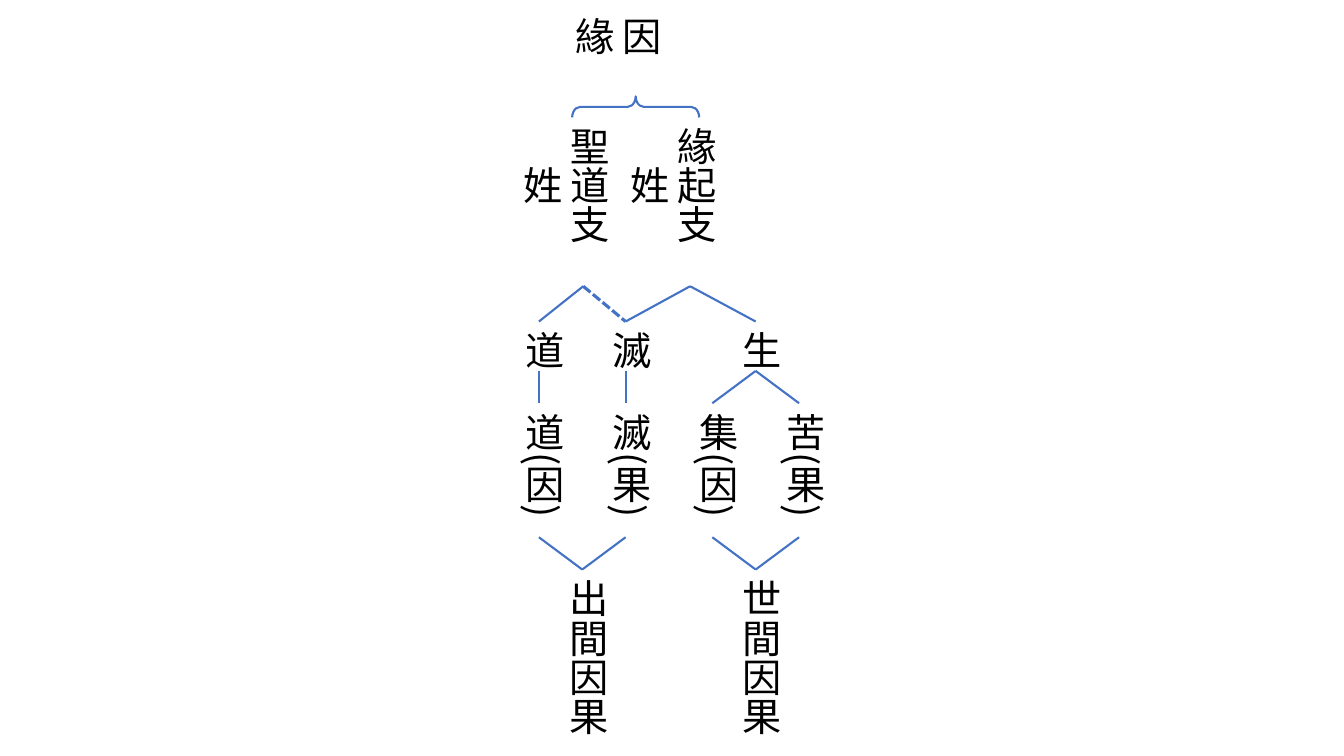
"""Draw a tree of causes and conditions in vertical Chinese text."""
from dataclasses import dataclass

from lxml import etree
from pptx import Presentation, util as u
from pptx.dml.color import RGBColor
from pptx.enum import dml, shapes, text
from pptx.oxml.ns import qn

PX = 9144
FONT = "Noto Sans CJK SC"
COLORS = {"ink": "000000", "line": "4472C4"}
WIDE = 67
LEFT, STEP = 501, 86


@dataclass
class Row:
    top: int
    high: int
    nodes: dict[str, int]


@dataclass
class Link:
    start: str
    end: str
    width: float = 1.5
    dash: bool = False


def col(place: float) -> int:
    return round(LEFT + STEP * place)


ROWS = [
    Row(7, 91, {"因緣": 597}),
    Row(116, 168, {"聖道支姓": 545, "緣起支姓": 651}),
    Row(319, 49, {"道": col(0), "滅": col(1), "生": col(2.5)}),
    Row(400, 133, {name: col(i) for i, name in
                   enumerate(["道(因)", "滅(果)", "集(因)", "苦(果)"])}),
    Row(565, 176, {"出間因果": col(0.5), "世間因果": col(2.5)}),
]

LINKS = [
    Link("聖道支姓", "道"),
    Link("聖道支姓", "滅", 2.25, True),
    Link("緣起支姓", "滅"),
    Link("緣起支姓", "生"),
    Link("道", "道(因)"),
    Link("滅", "滅(果)"),
    Link("生", "集(因)"),
    Link("生", "苦(果)"),
    Link("道(因)", "出間因果"),
    Link("滅(果)", "出間因果"),
    Link("集(因)", "世間因果"),
    Link("苦(果)", "世間因果"),
]


def px(*sizes: int) -> list[u.Emu]:
    return [u.Emu(size * PX) for size in sizes]


def rgb(name: str) -> RGBColor:
    return RGBColor.from_string(COLORS[name])


def write(slide, words: str, *, x: int, y: int, w: int, h: int,
          size: int = 28, color: str = "ink"):
    box = slide.shapes.add_textbox(*px(x, y, w, h))
    frame = box.text_frame
    frame.word_wrap = True
    frame.auto_size = text.MSO_AUTO_SIZE.SHAPE_TO_FIT_TEXT
    box.element.txBody.find(qn("a:bodyPr")).set("vert", "eaVert")
    para = frame.paragraphs[0]
    para.alignment = text.PP_ALIGN.CENTER
    run = para.add_run()
    run.text = words
    run.font.size = u.Pt(size)
    run.font.color.rgb = rgb(color)
    run.font.name = FONT
    face = etree.SubElement(run.font._element, qn("a:ea"))
    face.set("typeface", FONT)
    return box


def join(slide, link: Link, boxes: dict) -> None:
    line = slide.shapes.add_connector(shapes.MSO_CONNECTOR.STRAIGHT, 0, 0, 0, 0)
    line.begin_connect(boxes[link.start], 2)
    line.end_connect(boxes[link.end], 0)
    line.line.color.rgb = rgb("line")
    line.line.width = u.Pt(link.width)
    if link.dash:
        line.line.dash_style = dml.MSO_LINE.SQUARE_DOT
    etree.SubElement(line.element.spPr, qn("a:effectLst"))


def brace(slide) -> None:
    mark = slide.shapes.add_shape(
        shapes.MSO_SHAPE.RIGHT_BRACE, *px(620, 43, 21, 126))
    mark.rotation = 270
    mark.adjustments[0] = 0.38
    mark.adjustments[1] = 0.5
    mark.shadow.inherit = False
    mark.fill.background()
    mark.line.color.rgb = rgb("line")
    mark.line.width = u.Pt(1.5)


def main() -> None:
    deck = Presentation()
    deck.slide_width, deck.slide_height = px(1333, 750)
    slide = deck.slides.add_slide(deck.slide_layouts[6])
    boxes = {name: write(slide, name, x=x, y=row.top, w=WIDE, h=row.high)
             for row in ROWS for name, x in row.nodes.items()}
    for link in LINKS:
        join(slide, link, boxes)
    brace(slide)
    deck.save("out.pptx")


if __name__ == "__main__":
    main()
